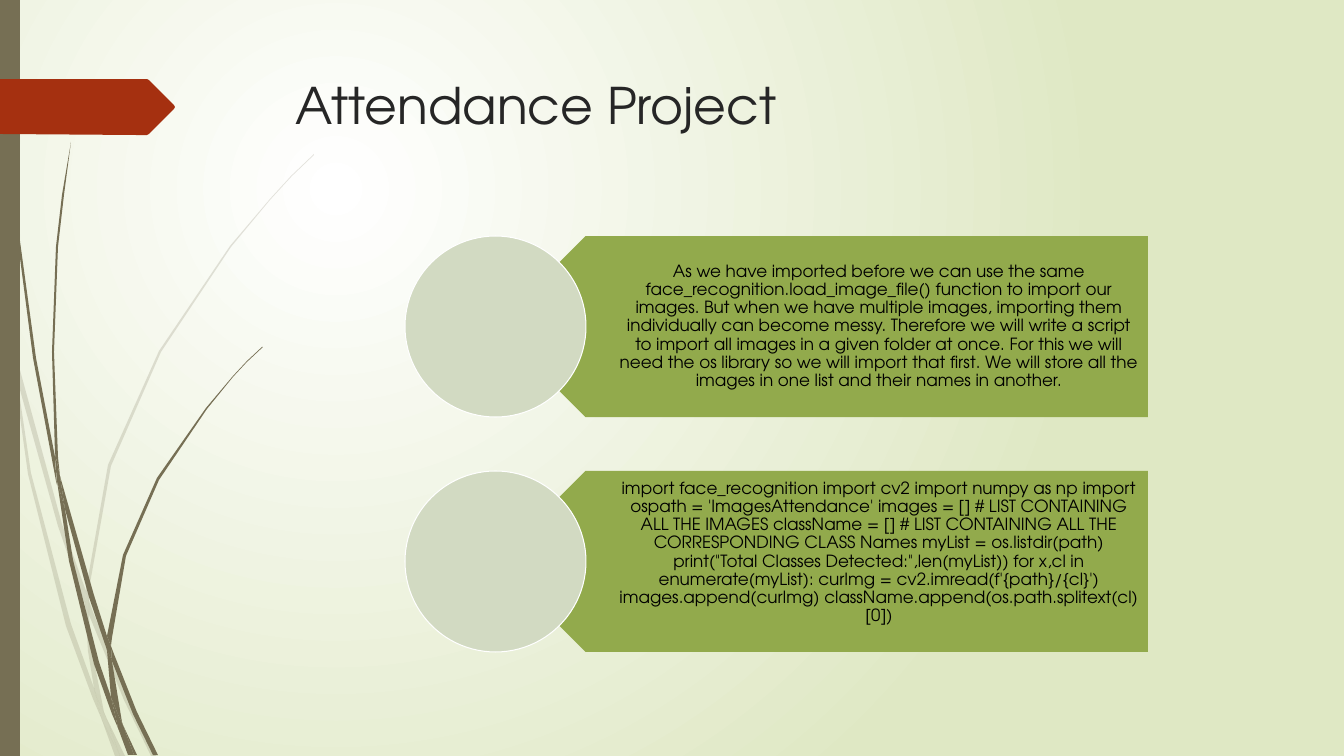
import pptx
import pptx.util
import pptx.dml.color
import pptx.enum.shapes
import pptx.enum.text
import pptx.oxml
import pptx.oxml.ns
from lxml import etree

SCALE = 914400 / 100.8
WIDTH, HEIGHT = 1344, 756
FONT = "TeX Gyre Adventor"
OLIVE, RED, GREEN, PALE = "766F54", "A53010", "92AA4C", "D2DAC2"
WHITE, MEADOW, BLACK, INK = "FFFFFF", "DFE8C4", "000000", "262626"
PRESET = pptx.enum.shapes.MSO_SHAPE
ANCHOR = pptx.enum.text.MSO_ANCHOR
ALIGN = pptx.enum.text.PP_ALIGN

FAINT_GRASS = [
    [(11, 353), (9, 325), (0, 284), (0, 301), (10, 347)],
    [(58, 526), (85, 604), (86, 591), (62, 524), (14, 348), (17, 379)],
    [(93, 612), (89, 601), (89, 615), (124, 700), (151, 756), (156, 756), (128, 698)],
    [(120, 756), (125, 756), (106, 717)],
    [(94, 688), (71, 624), (31, 473), (17, 379), (11, 353), (28, 474), (66, 626),
     (93, 699), (102, 720), (100, 713)],
    [(85, 604), (88, 651), (94, 688), (97, 698), (106, 717), (104, 712), (92, 651),
     (89, 615), (89, 613)],
    [(89, 589), (111, 466), (161, 352), (231, 247), (270, 200), (292, 176), (314, 155),
     (314, 154), (291, 176), (270, 199), (230, 246), (159, 351), (108, 465), (86, 589),
     (86, 591), (89, 601)],
    [(102, 720), (115, 756), (120, 756)],
    [(89, 613), (89, 615), (89, 601), (86, 591), (85, 604)],
    [(97, 698), (94, 688), (100, 713), (102, 720), (120, 756), (106, 717)],
]
DARK_GRASS = [
    [(7, 111), (17, 235), (33, 358), (56, 481), (57, 485), (55, 461), (55, 457),
     (36, 358), (19, 234), (8, 110), (5, 48), (4, 0), (3, 0), (4, 48)],
    [(89, 597), (107, 650), (107, 638), (107, 636), (94, 595), (60, 476), (65, 509)],
    [(114, 654), (111, 646), (112, 661), (133, 714), (153, 755), (158, 755), (137, 712)],
    [(111, 697), (99, 662), (73, 560), (65, 509), (57, 481), (69, 561), (94, 664),
     (112, 714), (118, 728), (117, 723)],
    [(60, 476), (58, 457), (54, 352), (58, 247), (64, 195), (71, 142), (62, 195),
     (56, 247), (52, 352), (55, 453)],
    [(134, 755), (137, 755), (123, 725)],
    [(57, 481), (65, 509), (60, 476), (55, 453), (55, 457)],
    [(112, 638), (126, 556), (159, 480), (207, 409), (233, 377), (247, 362), (263, 347),
     (262, 347), (247, 361), (233, 376), (206, 408), (157, 478), (123, 555), (107, 636),
     (111, 646)],
    [(118, 728), (128, 755), (132, 755)],
    [(107, 650), (111, 697), (117, 712), (123, 725), (122, 722), (112, 661), (110, 656)],
    [(107, 650), (110, 656), (112, 661), (111, 646), (107, 636), (107, 638)],
    [(117, 712), (111, 697), (117, 723), (118, 728), (131, 755), (134, 755), (123, 725)],
]
RED_TAB = [(174, 109), (149, 134), (147, 135), (137, 135), (0, 134), (0, 79), (147, 79),
           (149, 80), (174, 105), (175, 107)]

IMPORTING = (
    "As we have imported before we can use the same face_recognition.load_image_file() "
    "function to import our images. But when we have multiple images, importing them "
    "individually can become messy. Therefore we will write a script to import all images "
    "in a given folder at once. For this we will need the os library so we will import that "
    "first. We will store all the images in one list and their names in another.")
LISTING = (
    "import face_recognition import cv2 import numpy as np import ospath = "
    "'ImagesAttendance' images = [] # LIST CONTAINING ALL THE IMAGES className = [] "
    "# LIST CONTAINING ALL THE CORRESPONDING CLASS Names myList = os.listdir(path) "
    "print(\"Total Classes Detected:\",len(myList)) for x,cl in enumerate(myList): "
    "curImg = cv2.imread(f'{path}/{cl}') images.append(curImg) "
    "className.append(os.path.splitext(cl)[0])")


def px(length):
    """Turn pixels into EMU."""
    return pptx.util.Emu(round(length * SCALE))


def rgb(color):
    """Turn a hex string into a colour."""
    return pptx.dml.color.RGBColor.from_string(color)


class Painter:
    """Holds the style and the current slide."""

    def __init__(self, slide, font):
        """Keep the slide and its typeface."""
        self.slide, self.font = slide, font

    def glow(self, centre, edge):
        """Fill the background with a circular gradient."""
        fill = self.slide.background.fill
        fill.gradient()
        for stop, color in zip(fill.gradient_stops, (centre, edge)):
            stop.color.rgb = rgb(color)
        gradient = self.slide.element.xpath(".//p:bg//a:gradFill")[0]
        for linear in gradient.xpath("a:lin"):
            gradient.remove(linear)
        gradient.append(pptx.oxml.parse_xml(
            f'<a:path {pptx.oxml.ns.nsdecls("a")} path="circle"><a:fillToRect '
            'l="50000" t="50000" r="100000" b="100000"/></a:path>'))

    def finish(self, shape, color, line=None, opacity=100):
        """Set fill, outline and opacity, without shadow."""
        shape.shadow.inherit = False
        shape.fill.solid()
        shape.fill.fore_color.rgb = rgb(color)
        if line:
            shape.line.color.rgb = rgb(line)
            shape.line.width = pptx.util.Pt(0.75)
        else:
            shape.line.fill.background()
        if opacity < 100:
            tint = shape.element.spPr.xpath("a:solidFill/a:srgbClr")[0]
            etree.SubElement(tint, pptx.oxml.ns.qn("a:alpha"), val=str(opacity * 1000))

    def shape(self, preset, box, color, line=None, rotation=0):
        """Draw a preset shape."""
        shape = self.slide.shapes.add_shape(preset, *map(px, box))
        shape.rotation = rotation
        self.finish(shape, color, line)

    def outline(self, points, color, opacity=100):
        """Draw a closed outline through the points."""
        builder = self.slide.shapes.build_freeform(*points[0], scale=SCALE)
        builder.add_line_segments(points[1:], close=True)
        self.finish(builder.convert_to_shape(), color, opacity=opacity)

    def text(self, words, box, size, color, insets=(10, 5, 10, 5), align=ALIGN.LEFT,
             anchor=ANCHOR.TOP, spacing=1.0):
        """Write one paragraph in a text box."""
        frame = self.slide.shapes.add_textbox(*map(px, box)).text_frame
        frame.word_wrap = True
        frame.vertical_anchor = anchor
        (frame.margin_left, frame.margin_top,
         frame.margin_right, frame.margin_bottom) = map(px, insets)
        paragraph = frame.paragraphs[0]
        paragraph.text = words
        paragraph.alignment, paragraph.line_spacing = align, spacing
        paragraph.font.name, paragraph.font.size = self.font, pptx.util.Pt(size)
        paragraph.font.color.rgb = rgb(color)


deck = pptx.Presentation()
deck.slide_width, deck.slide_height = px(WIDTH), px(HEIGHT)
painter = Painter(deck.slides.add_slide(deck.slide_layouts[6]), FONT)
painter.glow(WHITE, MEADOW)

for grass, opacity in ((FAINT_GRASS, 20), (DARK_GRASS, 100)):
    for blade in grass:
        painter.outline(blade, OLIVE, opacity)
painter.shape(PRESET.RECTANGLE, (0, 0, 20, HEIGHT), OLIVE)
painter.outline(RED_TAB, RED)
painter.text("Attendance Project", (286, 69, 983, 141), 36, INK)

CARD_TOP, CARD_STEP, CARD_HEIGHT = 236, 235, 181
for row, (words, bottom_inset) in enumerate(((IMPORTING, 5), (LISTING, 23))):
    top = CARD_TOP + row * CARD_STEP
    painter.shape(PRESET.PENTAGON, (495, top, 653, CARD_HEIGHT), GREEN, rotation=180)
    painter.text(words, (540, top, 608, CARD_HEIGHT), 12, BLACK, (79, 5, 9, bottom_inset),
                 ALIGN.CENTER, ANCHOR.MIDDLE, 0.9)
    painter.shape(PRESET.OVAL, (405, top, CARD_HEIGHT, CARD_HEIGHT), PALE, WHITE)

deck.save("out.pptx")
